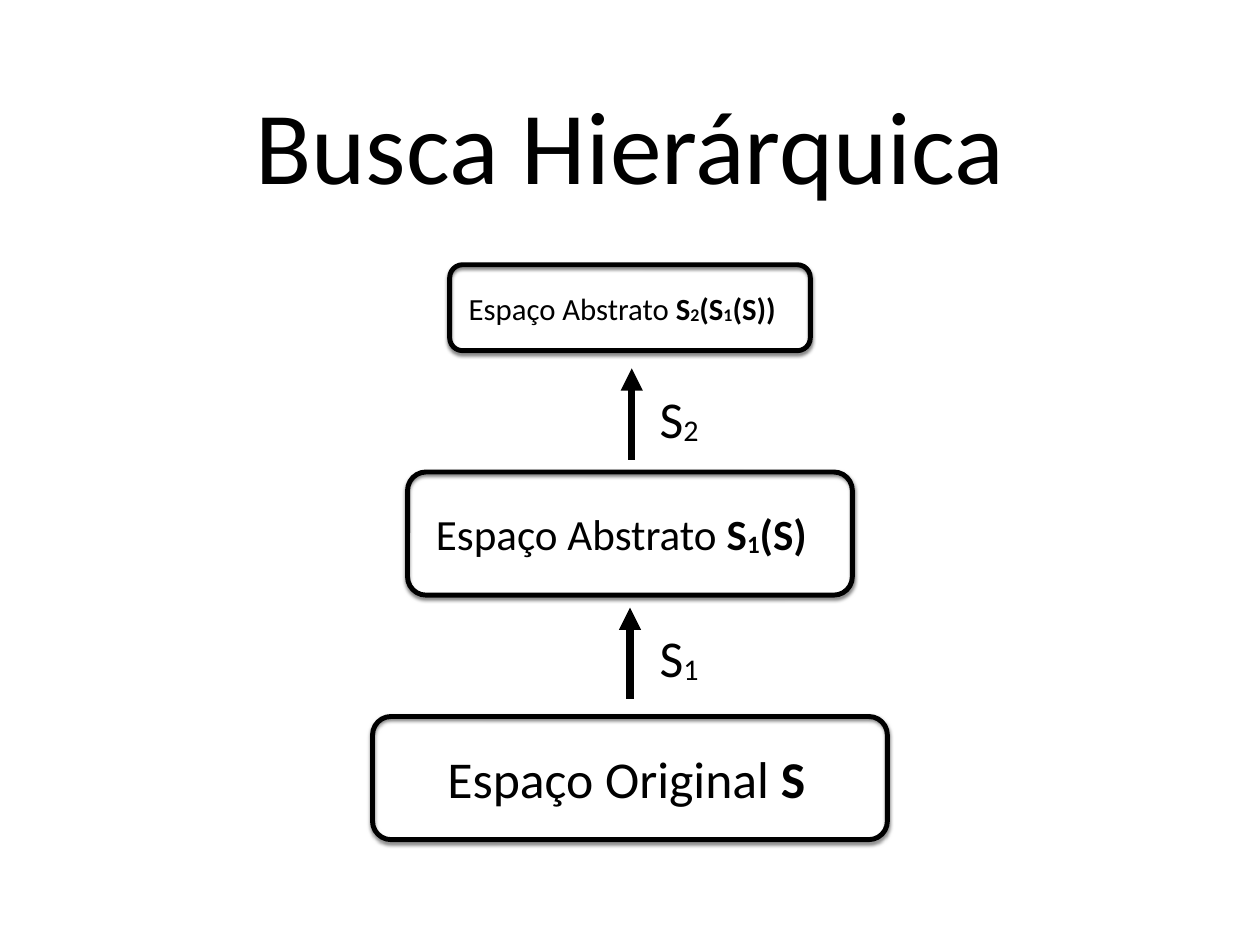
from dataclasses import dataclass
from typing import Optional

import lxml.etree
import pptx
import pptx.dml.color
import pptx.enum.shapes
import pptx.enum.text
import pptx.oxml
import pptx.oxml.ns
import pptx.slide
import pptx.text.text
import pptx.util

SLIDE_WIDTH = pptx.util.Inches(14.22)
SLIDE_HEIGHT = pptx.util.Inches(10.67)
MIDDLE = 50.0
LABEL_LEFT, LABEL_WIDTH, LABEL_DROP = 51.83, 4.15, 0.38
ARROW_HEIGHT = 9.65
LINE_SPACING = 1.22


@dataclass(frozen=True)
class Theme:
    font: str = "Calibri"
    ink: pptx.dml.color.RGBColor = pptx.dml.color.RGBColor(0, 0, 0)
    title_size: int = 84
    label_size: int = 42
    box_line: int = 4
    arrow_line: int = 6
    inset: float = 0.06
    corner: float = 0.15


@dataclass(frozen=True)
class Piece:
    text: str
    bold: bool = False
    subscript: bool = False


@dataclass(frozen=True)
class Arrow:
    x: float
    center: float
    index: str


@dataclass(frozen=True)
class Level:
    """One space of the hierarchy; lengths are percentages of the slide."""
    top: float
    width: float
    height: float
    text_left: float
    text_width: float
    size: int
    pieces: tuple[Piece, ...]
    arrow: Optional[Arrow] = None


THEME = Theme()
ABSTRACT = Piece("Espaço Abstrato ")
ONE = Piece("1", True, True)
TWO = Piece("2", True, True)
LEVELS = (
    Level(75.82, 40.86, 13.03, 35.09, 30.1, 42,
          (Piece("Espaço Original "), Piece("S", True))),
    Level(49.95, 35.3, 13.03, 34.18, 31.58, 35,
          (ABSTRACT, Piece("S", True), ONE, Piece("(S)", True)),
          Arrow(50.0, 69.12, "1")),
    Level(28.02, 28.62, 9.09, 36.78, 26.72, 25,
          (ABSTRACT, Piece("S", True), TWO, Piece("(S", True), ONE, Piece("(S))", True)),
          Arrow(50.14, 43.81, "2")),
)


def across(percent: float) -> int:
    return round(SLIDE_WIDTH * percent / 100)


def down(percent: float) -> int:
    return round(SLIDE_HEIGHT * percent / 100)


def format_frame(frame: pptx.text.text.TextFrame) -> None:
    inset = pptx.util.Inches(THEME.inset)
    frame.margin_left = frame.margin_right = inset
    frame.margin_top = frame.margin_bottom = inset
    frame.vertical_anchor = pptx.enum.text.MSO_ANCHOR.MIDDLE


def format_paragraph(paragraph: pptx.text.text._Paragraph, size: int,
                     alignment: pptx.enum.text.PP_ALIGN) -> None:
    paragraph.alignment = alignment
    paragraph.font.name = THEME.font
    paragraph.font.size = pptx.util.Pt(size)
    paragraph.font.color.rgb = THEME.ink


def add_title(slide: pptx.slide.Slide, text: str) -> None:
    title = slide.shapes.title
    title.left, title.top = across(9.77), down(2.62)
    title.width, title.height = across(80.45), down(25.02)
    title.text_frame.text = text
    format_frame(title.text_frame)
    format_paragraph(title.text_frame.paragraphs[0], THEME.title_size,
                     pptx.enum.text.PP_ALIGN.CENTER)


def add_text(slide: pptx.slide.Slide, left: float, center: float, width: float, size: int,
             pieces: tuple[Piece, ...], alignment: pptx.enum.text.PP_ALIGN) -> None:
    """Add one line of text, centred vertically on the given height."""
    height = pptx.util.Pt(size * LINE_SPACING) + 2 * pptx.util.Inches(THEME.inset)
    box = slide.shapes.add_textbox(across(left), down(center) - height // 2,
                                   across(width), height)
    frame = box.text_frame
    format_frame(frame)
    frame.word_wrap = False
    frame.auto_size = pptx.enum.text.MSO_AUTO_SIZE.SHAPE_TO_FIT_TEXT
    paragraph = frame.paragraphs[0]
    format_paragraph(paragraph, size, alignment)
    for piece in pieces:
        run = paragraph.add_run()
        run.text = piece.text
        if piece.bold:
            run.font.bold = True
        if piece.subscript:
            run.font._element.set("baseline", "-6000")


def add_box(slide: pptx.slide.Slide, level: Level) -> None:
    box = slide.shapes.add_shape(
        pptx.enum.shapes.MSO_SHAPE.ROUNDED_RECTANGLE,
        across(MIDDLE - level.width / 2), down(level.top),
        across(level.width), down(level.height))
    box.adjustments[0] = THEME.corner
    box.fill.background()
    box.line.color.rgb = THEME.ink
    box.line.width = pptx.util.Pt(THEME.box_line)
    box.shadow.inherit = False
    effects = box._element.spPr.find(pptx.oxml.ns.qn("a:effectLst"))
    effects.append(pptx.oxml.parse_xml(
        f'<a:outerShdw {pptx.oxml.ns.nsdecls("a")} blurRad="{pptx.util.Pt(3)}" '
        f'dist="{pptx.util.Pt(2)}" dir="5400000" rotWithShape="0">'
        f'<a:srgbClr val="{THEME.ink}"><a:alpha val="50000"/></a:srgbClr></a:outerShdw>'))


def add_arrow(slide: pptx.slide.Slide, arrow: Arrow) -> None:
    x, reach = across(arrow.x), ARROW_HEIGHT / 2
    connector = slide.shapes.add_connector(
        pptx.enum.shapes.MSO_CONNECTOR.STRAIGHT,
        x, down(arrow.center + reach), x, down(arrow.center - reach))
    connector.line.color.rgb = THEME.ink
    connector.line.width = pptx.util.Pt(THEME.arrow_line)
    head = lxml.etree.SubElement(connector.line._get_or_add_ln(),
                                 pptx.oxml.ns.qn("a:tailEnd"))
    head.set("type", "triangle")
    lxml.etree.SubElement(connector._element.spPr, pptx.oxml.ns.qn("a:effectLst"))
    add_text(slide, LABEL_LEFT, arrow.center + LABEL_DROP, LABEL_WIDTH, THEME.label_size,
             (Piece("S"), Piece(arrow.index, subscript=True)),
             pptx.enum.text.PP_ALIGN.CENTER)


def main() -> None:
    presentation = pptx.Presentation()
    presentation.slide_width = SLIDE_WIDTH
    presentation.slide_height = SLIDE_HEIGHT
    slide = presentation.slides.add_slide(presentation.slide_layouts.get_by_name("Title Only"))
    add_title(slide, "Busca Hierárquica")
    for level in LEVELS:
        add_box(slide, level)
        add_text(slide, level.text_left, level.top + level.height / 2, level.text_width,
                 level.size, level.pieces, pptx.enum.text.PP_ALIGN.LEFT)
        if level.arrow:
            add_arrow(slide, level.arrow)
    presentation.save("out.pptx")


if __name__ == "__main__":
    main()
